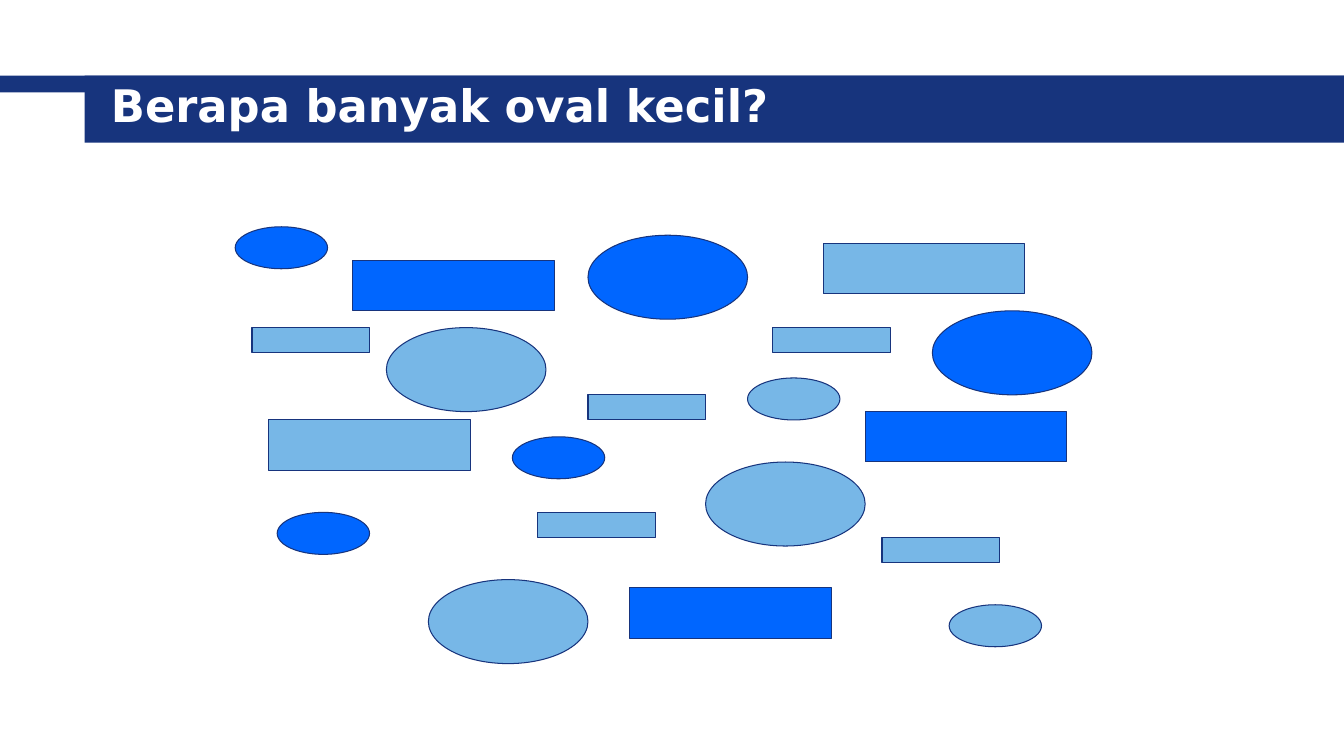
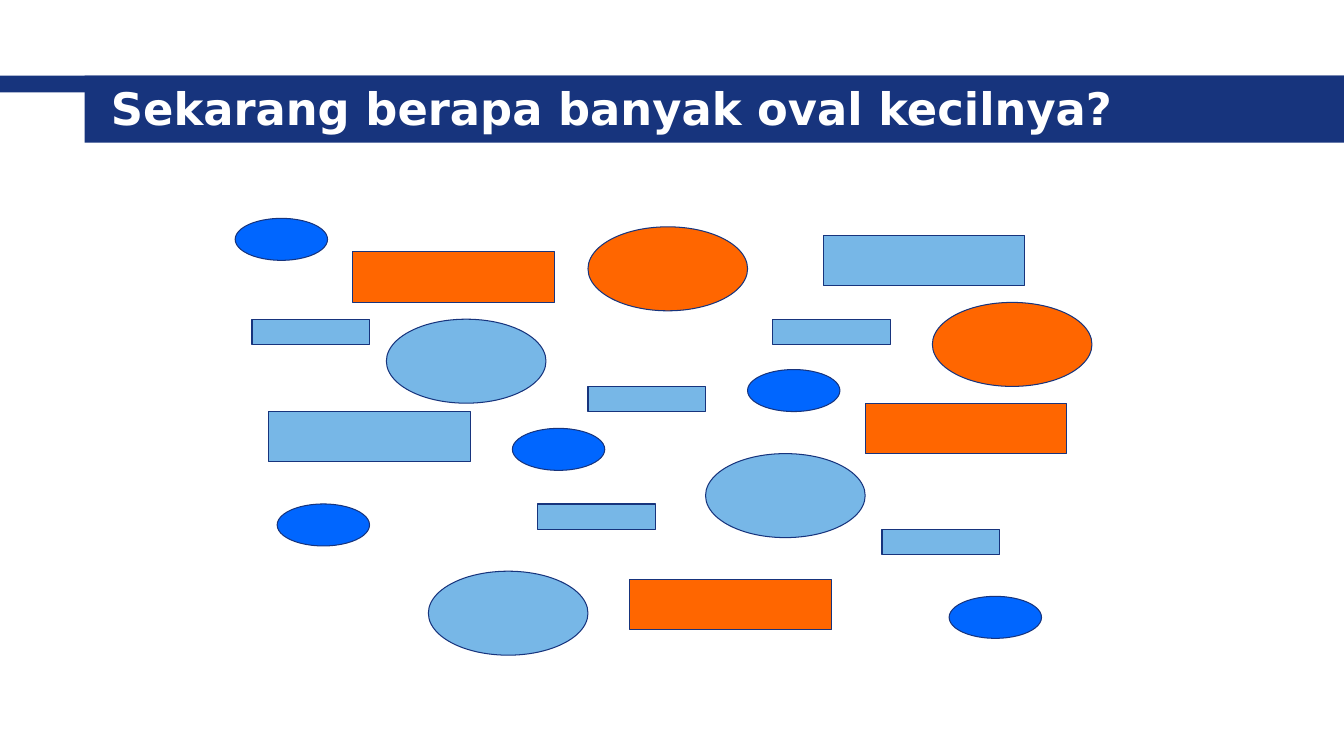
import pptx
import pptx.dml.color
import pptx.enum.shapes
import pptx.enum.text
import pptx.util
from dataclasses import dataclass

Pt = pptx.util.Pt
RGB = pptx.dml.color.RGBColor.from_string
SHAPE = pptx.enum.shapes.MSO_SHAPE
TEXT = pptx.enum.text


@dataclass(frozen=True)
class Theme:
    navy: str = "17347D"
    blue: str = "0066FF"
    light: str = "77B7E7"
    orange: str = "FF6600"
    white: str = "FFFFFF"
    font: str = "DejaVu Sans"
    title_size: int = 32
    outline: float = 0.75


theme = Theme()


def add_figure(slide, kind, box, fill, line=None):
    sp = slide.shapes.add_shape(kind, *map(Pt, box))
    sp.shadow.inherit = False
    sp.fill.solid()
    sp.fill.fore_color.rgb = RGB(fill)
    if line:
        sp.line.color.rgb = RGB(line)
        sp.line.width = Pt(theme.outline)
    else:
        sp.line.fill.background()
    return sp


def write(tf, text, *, size, color, bold=False, align=TEXT.PP_ALIGN.LEFT):
    tf.word_wrap = True
    tf.auto_size = TEXT.MSO_AUTO_SIZE.NONE
    tf.vertical_anchor = TEXT.MSO_ANCHOR.MIDDLE
    p = tf.paragraphs[0]
    p.alignment = align
    r = p.add_run()
    r.text = text
    r.font.name = theme.font
    r.font.size = Pt(size)
    r.font.bold = bold
    r.font.color.rgb = RGB(color)


# Each group: shape kind, width, height, then left, top and colour role.
# Positions lie on a 6 pt grid.
groups = [
    (SHAPE.RECTANGLE, 144, 36, [
        (252, 186, "accent"), (450, 420, "accent"), (618, 294, "accent"),
        (192, 300, "plain"), (588, 174, "plain")]),
    (SHAPE.RECTANGLE, 84, 18, [
        (180, 234, "plain"), (420, 282, "plain"), (630, 384, "plain"),
        (384, 366, "plain"), (552, 234, "plain")]),
    (SHAPE.OVAL, 114, 60, [
        (420, 168, "accent"), (276, 234, "plain"), (306, 414, "plain"),
        (666, 222, "accent"), (504, 330, "plain")]),
    (SHAPE.OVAL, 66, 30, [
        (168, 162, "target"), (366, 312, "target"), (678, 432, "mixed"),
        (198, 366, "target"), (534, 270, "mixed")]),
]

# Each slide: title, title box, upward shift of the figures, colours by role.
puzzles = [
    ("Berapa banyak oval kecil?", (72, 48, 856, 54), 0,
     {"accent": theme.blue, "plain": theme.light,
      "target": theme.blue, "mixed": theme.light}),
    ("Sekarang berapa banyak oval kecilnya?", (72, 42, 745, 69), 6,
     {"accent": theme.orange, "plain": theme.light,
      "target": theme.blue, "mixed": theme.blue}),
]

prs = pptx.Presentation()
prs.slide_width, prs.slide_height = Pt(960), Pt(540)
layout = prs.slide_layouts.get_by_name("Title Only")
slides = [prs.slides.add_slide(layout) for _ in puzzles]

# The title bands belong to the layout, behind its placeholders.
bands = [(0, 54, 960, 12), (60.5, 54, 899.5, 48)]
for i, box in enumerate(bands):
    sp = add_figure(slides[0], SHAPE.RECTANGLE, box, theme.navy)
    sp.element.xpath(".//p:cNvPr")[0].set("id", str(101 + i))
    layout.shapes.element.insert(2 + i, sp.element)

for s, (title, box, shift, colors) in zip(slides, puzzles):
    ph = s.shapes.title
    ph.left, ph.top, ph.width, ph.height = map(Pt, box)
    write(ph.text_frame, title, size=theme.title_size, color=theme.white, bold=True)
    for kind, width, height, places in groups:
        for left, top, role in places:
            add_figure(s, kind, (left, top - shift, width, height),
                       colors[role], line=theme.navy)

prs.save("out.pptx")
